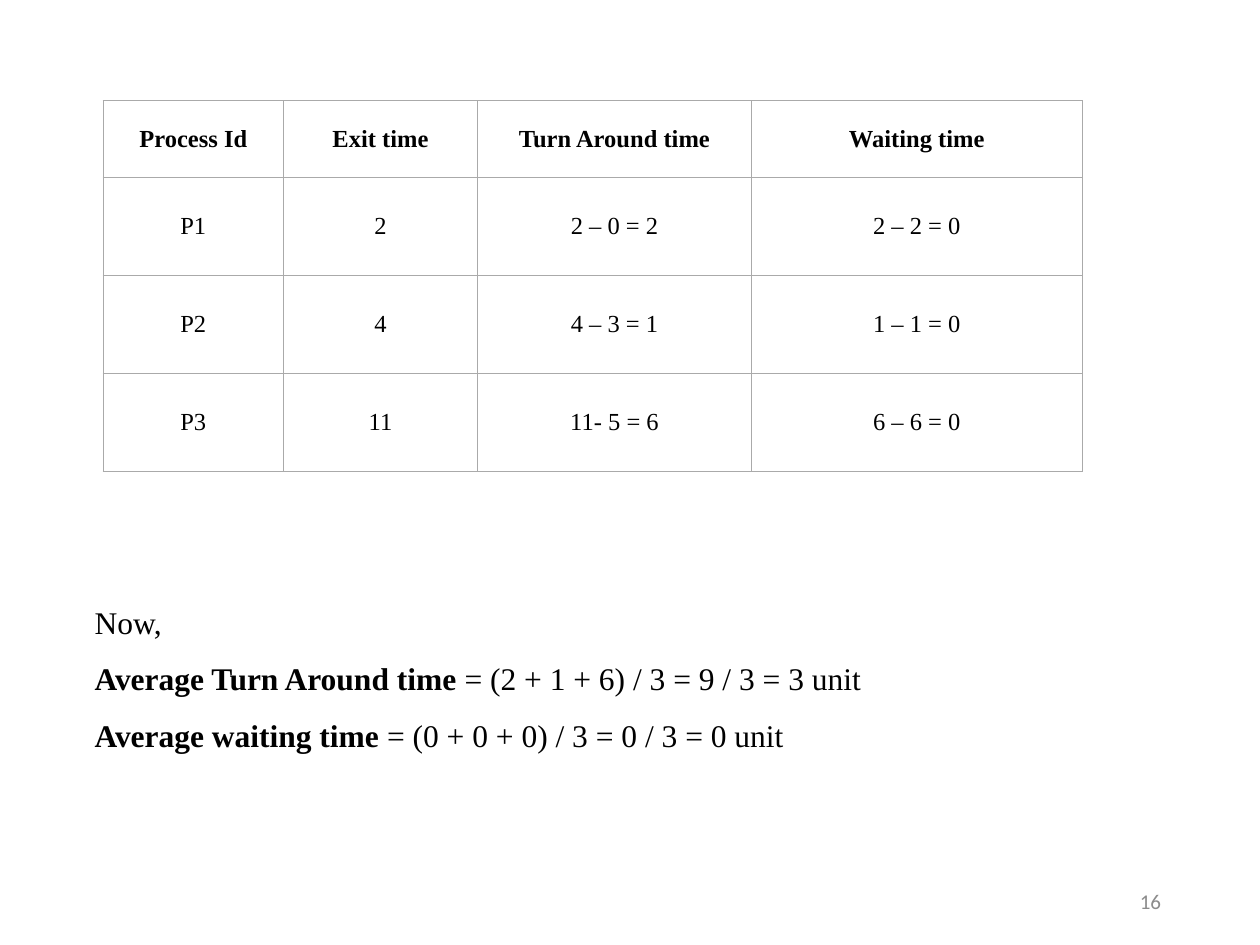
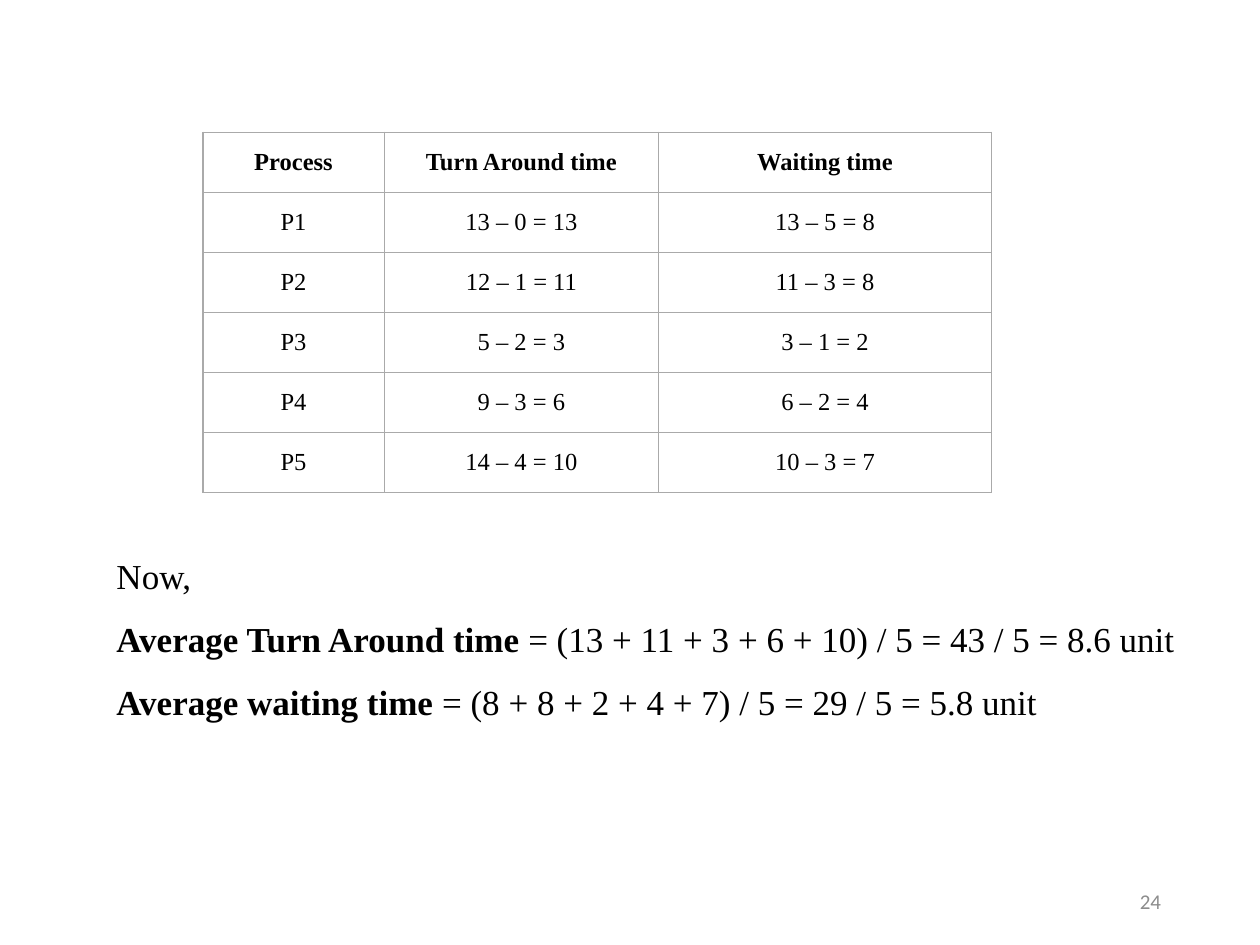
from lxml import etree
from pptx import Presentation
from pptx.dml.color import RGBColor
from pptx.enum.text import MSO_ANCHOR, PP_ALIGN
from pptx.oxml.ns import qn
from pptx.util import Pt

# Content
RESULTS = [
    {
        "number": "16",
        "table": [
            ("Process Id", "Exit time", "Turn Around time", "Waiting time"),
            ("P1", "2", "2 – 0 = 2", "2 – 2 = 0"),
            ("P2", "4", "4 – 3 = 1", "1 – 1 = 0"),
            ("P3", "11", "11- 5 = 6", "6 – 6 = 0"),
        ],
        "table_at": (59, 57.5),
        "columns": (103, 111, 156.5, 189),
        "header_height": 44,
        "row_height": 56,
        "averages": [
            ("Average Turn Around time ", "= (2 + 1 + 6) / 3 = 9 / 3 = 3 unit"),
            ("Average waiting time ", "= (0 + 0 + 0) / 3 = 0 / 3 = 0 unit"),
        ],
        "averages_at": (47, 330, 624, 101.5),
        "averages_size": 18,
    },
    {
        "number": "24",
        "table": [
            ("Process", "Turn Around time", "Waiting time"),
            ("P1", "13 – 0 = 13", "13 – 5 = 8"),
            ("P2", "12 – 1 = 11", "11 – 3 = 8"),
            ("P3", "5 – 2 = 3", "3 – 1 = 2"),
            ("P4", "9 – 3 = 6", "6 – 2 = 4"),
            ("P5", "14 – 4 = 10", "10 – 3 = 7"),
        ],
        "table_at": (116, 75.5),
        "columns": (103.5, 157, 190),
        "header_height": 34.3,
        "row_height": 34.3,
        "averages": [
            ("Average Turn Around time ",
             "= (13 + 11 + 3 + 6 + 10) / 5 = 43 / 5 = 8.6 unit"),
            ("Average waiting time ",
             "= (8 + 8 + 2 + 4 + 7) / 5 = 29 / 5 = 5.8 unit"),
        ],
        "averages_at": (59.5, 301.5, 628, 112),
        "averages_size": 20,
    },
]

# Shared style
BLACK = RGBColor(0x00, 0x00, 0x00)
WHITE = RGBColor(0xFF, 0xFF, 0xFF)
GRAY = RGBColor(0x8C, 0x8C, 0x8C)
BORDER = RGBColor(0xAA, 0xAA, 0xAA)
BODY_FONT, NUMBER_FONT = "Times New Roman", "Calibri"
NUMBER_AT = (508.5, 500.5, 162, 29)
CENTER, RIGHT, JUSTIFY = PP_ALIGN.CENTER, PP_ALIGN.RIGHT, PP_ALIGN.JUSTIFY
MIDDLE = MSO_ANCHOR.MIDDLE
BLANK_LAYOUT = 6


def style(paragraph, size, align, font=BODY_FONT, color=BLACK):
    paragraph.alignment = align
    paragraph.font.size = Pt(size)
    paragraph.font.name = font
    paragraph.font.color.rgb = color


def add_text_frame(slide, at):
    frame = slide.shapes.add_textbox(*map(Pt, at)).text_frame
    frame.word_wrap = True
    return frame


def set_borders(cell):
    properties = cell._tc.get_or_add_tcPr()
    for place, side in enumerate(("a:lnL", "a:lnR", "a:lnT", "a:lnB")):
        line = etree.Element(qn(side), w=str(Pt(0.75)))
        fill = etree.SubElement(line, qn("a:solidFill"))
        etree.SubElement(fill, qn("a:srgbClr"), val=str(BORDER))
        properties.insert(place, line)


def fill_cell(cell, text, bold):
    cell.fill.solid()
    cell.fill.fore_color.rgb = WHITE
    cell.vertical_anchor = MIDDLE
    cell.margin_left = cell.margin_right = Pt(7.2)
    cell.margin_top = cell.margin_bottom = Pt(5.75)
    cell.text = text
    paragraph = cell.text_frame.paragraphs[0]
    style(paragraph, 14, CENTER)
    paragraph.font.bold = bold
    paragraph.runs[0].font.bold = bold
    set_borders(cell)


def add_times_table(slide, result):
    rows, columns = result["table"], result["columns"]
    heights = [result["header_height"]] + [result["row_height"]] * (len(rows) - 1)
    box = (*result["table_at"], sum(columns), sum(heights))
    table = slide.shapes.add_table(len(rows), len(columns), *map(Pt, box)).table
    for column, width in zip(table.columns, columns):
        column.width = Pt(width)
    for r, (texts, height) in enumerate(zip(rows, heights)):
        table.rows[r].height = Pt(height)
        for c, text in enumerate(texts):
            fill_cell(table.cell(r, c), text, bold=r == 0)


def add_averages(slide, result):
    frame = add_text_frame(slide, result["averages_at"])
    frame.paragraphs[0].text = "Now,"
    for label, formula in result["averages"]:
        paragraph = frame.add_paragraph()
        for text, bold in ((label, True), (formula, False)):
            run = paragraph.add_run()
            run.text = text
            run.font.bold = bold
    for paragraph in frame.paragraphs:
        style(paragraph, result["averages_size"], JUSTIFY)
        paragraph.line_spacing = 1.5


def add_slide_number(slide, number):
    frame = add_text_frame(slide, NUMBER_AT)
    frame.vertical_anchor = MIDDLE
    frame.text = number
    style(frame.paragraphs[0], 12, RIGHT, NUMBER_FONT, GRAY)


def main():
    deck = Presentation()
    deck.slide_width, deck.slide_height = Pt(720), Pt(540)
    for result in RESULTS:
        slide = deck.slides.add_slide(deck.slide_layouts[BLANK_LAYOUT])
        add_slide_number(slide, result["number"])
        add_times_table(slide, result)
        add_averages(slide, result)
    deck.save("out.pptx")


if __name__ == "__main__":
    main()
